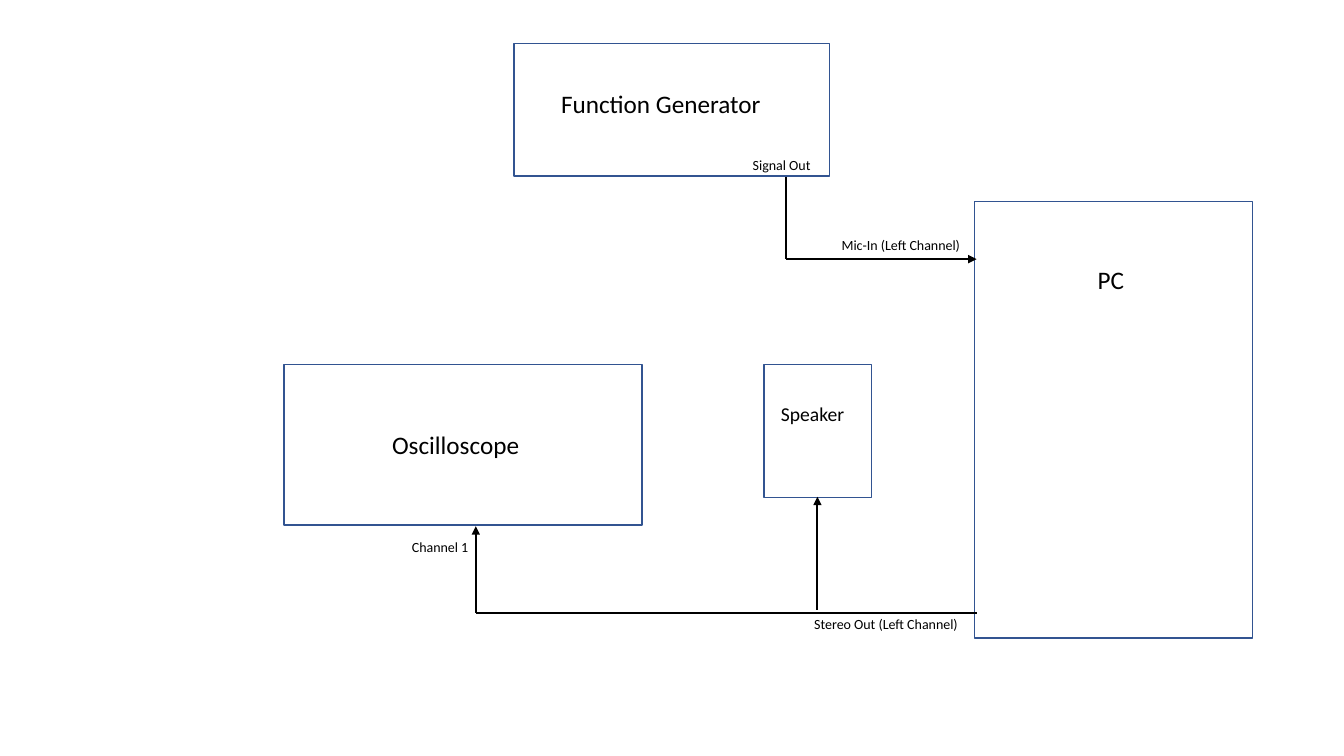
from dataclasses import dataclass
from itertools import pairwise

from lxml import etree
from pptx import Presentation
from pptx import util as u
from pptx.dml.color import RGBColor
from pptx.enum import shapes, text
from pptx.oxml import ns


@dataclass(frozen=True)
class Theme:
    font: str = "Calibri"
    ink: str = "000000"
    paper: str = "FFFFFF"
    edge: str = "325491"
    big: int = 18
    mid: int = 14
    small: int = 10
    thin: float = 1
    thick: float = 1.5


class Board:
    def __init__(self, slide, theme):
        self.slide = slide
        self.theme = theme

    def box(self, *area):
        box = self.slide.shapes.add_shape(
            shapes.MSO_SHAPE.RECTANGLE, *map(u.Cm, area))
        box.shadow.inherit = False
        box.fill.solid()
        box.fill.fore_color.rgb = RGBColor.from_string(self.theme.paper)
        box.line.color.rgb = RGBColor.from_string(self.theme.edge)
        box.line.width = u.Pt(self.theme.thin)

    def label(self, words, size, left, top, width, height):
        area = map(u.Cm, (left, top, width, height))
        frame = self.slide.shapes.add_textbox(*area).text_frame
        frame.word_wrap = True
        frame.auto_size = text.MSO_AUTO_SIZE.SHAPE_TO_FIT_TEXT
        run = frame.paragraphs[0].add_run()
        run.text = words
        run.font.name = self.theme.font
        run.font.size = u.Pt(size)
        run.font.color.rgb = RGBColor.from_string(self.theme.ink)

    def wire(self, *points):
        for start, end in pairwise(points):
            line = self.slide.shapes.add_connector(
                shapes.MSO_CONNECTOR.STRAIGHT, *map(u.Cm, start + end))
            line.line.color.rgb = RGBColor.from_string(self.theme.ink)
            line.line.width = u.Pt(self.theme.thick)
            props = line._element.spPr
            etree.SubElement(props, ns.qn("a:effectLst"))
        tip = etree.SubElement(props.find(ns.qn("a:ln")), ns.qn("a:tailEnd"))
        tip.set("type", "triangle")


def main():
    deck = Presentation()
    deck.slide_width, deck.slide_height = u.Cm(33.87), u.Cm(19.05)
    theme = Theme()
    board = Board(deck.slides.add_slide(deck.slide_layouts[6]), theme)

    devices = [
        ("PC", theme.big, (24.56, 5.08, 7.01, 11), (27.41, 6.53, 1.3, 1.02)),
        ("Function Generator", theme.big,
         (12.95, 1.09, 7.95, 3.35), (13.89, 2.11, 6.65, 1.02)),
        ("Oscilloscope", theme.big,
         (7.16, 9.19, 9.02, 4.04), (9.63, 10.69, 6.65, 1.02)),
        ("Speaker", theme.mid,
         (19.25, 9.19, 2.72, 3.35), (19.43, 10.01, 2.39, 0.86)),
    ]
    for name, size, frame, place in devices:
        board.box(*frame)
        board.label(name, size, *place)

    port = 24.61
    board.wire((19.81, 4.45), (19.81, 6.53), (port, 6.53))
    board.wire((port, 15.44), (11.99, 15.44), (11.99, 13.26))
    board.wire((20.6, 15.37), (20.6, 12.52))

    ports = [
        ("Signal Out", 18.72, 3.81, 2.24),
        ("Mic-In (Left Channel)", 20.96, 5.84, 3.63),
        ("Stereo Out (Left Channel)", 20.27, 15.39, 4.22),
        ("Channel 1", 10.13, 13.44, 3.63),
    ]
    for name, left, top, width in ports:
        board.label(name, theme.small, left, top, width, 0.69)

    deck.save("out.pptx")


if __name__ == "__main__":
    main()
